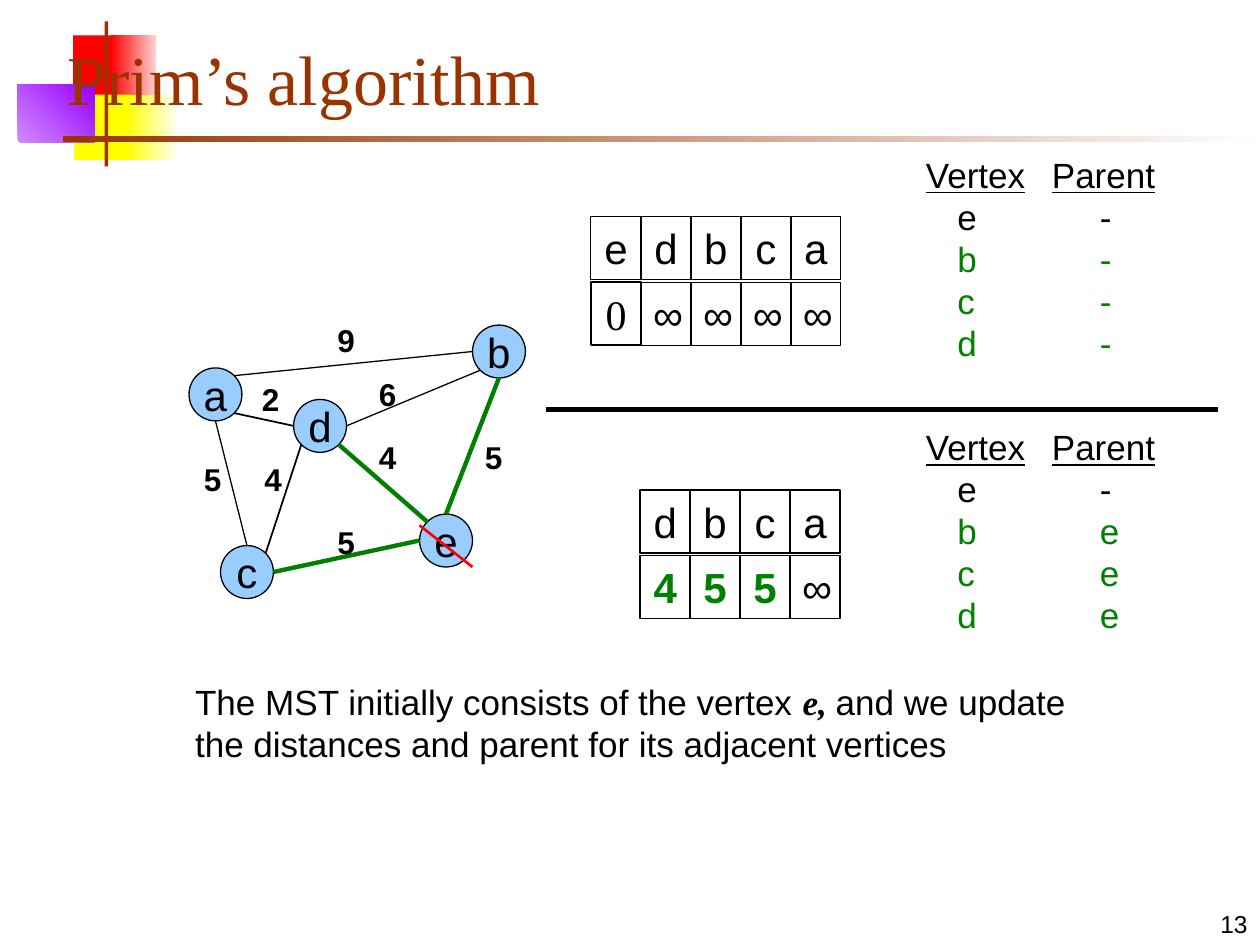
import math
from lxml import etree
from pptx import Presentation
from pptx import util as u
from pptx.dml.color import RGBColor
from pptx.enum import shapes, text
from pptx.oxml.ns import qn

C = {"black": "000000", "green": "008000", "red": "FF0000", "pink": "FFD1D1",
     "yellow": "FFFF00", "cream": "FFFFF0", "violet": "9900FF", "lilac": "D18BFF",
     "brown": "993300", "white": "FFFFFF", "node": "99CCFF"}
SANS, SERIF = "Arial", "Times New Roman"
RECT, OVAL = shapes.MSO_SHAPE.RECTANGLE, shapes.MSO_SHAPE.OVAL
LEFT, CENTER, RIGHT = text.PP_ALIGN.LEFT, text.PP_ALIGN.CENTER, text.PP_ALIGN.RIGHT
TOP, MIDDLE, BOTTOM = text.MSO_ANCHOR.TOP, text.MSO_ANCHOR.MIDDLE, text.MSO_ANCHOR.BOTTOM

DECOR = [
    ((0.58, 0.28, 0.35, 0.52), ["red"], 0),
    ((0.88, 0.28, 0.36, 0.52), ["red", "pink"], 0),
    ((0.59, 0.75, 0.46, 0.52), ["yellow"], 0),
    ((1, 0.75, 0.4, 0.52), ["yellow", "cream"], 0),
    ((0.14, 0.67, 0.61, 0.46), ["lilac", "violet"], 45),
    ((0.83, 0.17, 0.03, 1.15), ["brown"], 0),
    ((0.5, 1.08, 9.5, 0.05), ["brown", "white"], 0),
]
NODE = 0.42
NODES = {"a": (1.5, 2.92), "c": (1.75, 4.33), "e": (3.33, 4.08),
         "d": (2.33, 3.17), "b": (3.75, 2.58)}
COMPASS = {"E": 0, "SE": 45, "S": 90, "SW": 135, "W": 180, "NW": 225, "N": 270, "NE": 315}
EDGES = [
    ("a", "NE", "b", "W", "black", 0.75, "9", (2.58, 2.5)),
    ("d", "E", "b", "SW", "black", 0.75, "6", (2.91, 2.93)),
    ("a", "S", "c", "N", "black", 0.75, "5", (1.52, 3.6)),
    ("a", "SE", "d", "W", "black", 1, "2", (1.98, 2.97)),
    ("c", "NE", "d", "SW", "black", 1, "4", (2, 3.6)),
    ("d", "SE", "e", "NW", "green", 2.5, "4", (2.91, 3.43)),
    ("b", "S", "e", "N", "green", 2.5, "5", (3.75, 3.43)),
    ("e", "W", "c", "E", "green", 2.5, "5", (2.58, 4.1)),
]
QUEUES = [(4.69, 1.72, ["edbca", "0∞∞∞∞"]), (5.08, 3.89, ["dbca", "455∞"])]
CELL_STYLE = {"0": {"font": SERIF},
              "4": {"color": "green", "bold": True},
              "5": {"color": "green", "bold": True}}
CELL_LINE = {"e": 0.5, "0": 1}
CELL_W, CELL_H, COL_STEP, ROW_STEP = 0.4, 0.5, 0.396, 0.52
PARENTS = [(1.17, "----"), (3.33, "-eee")]
TABS = [0.25, 1, 1.38]

prs = Presentation()
prs.slide_width, prs.slide_height = u.Inches(10), u.Inches(7.5)
s = prs.slides.add_slide(prs.slide_layouts[6])


def rgb(name):
    return RGBColor.from_string(C[name])


def run(value, size, font=SANS, color="black", bold=False, italic=False, underline=False):
    return value, size, font, color, bold, italic, underline


def write(sp, paragraphs, align=LEFT, anchor=TOP, wrap=True, tabs=()):
    tf = sp.text_frame
    tf.word_wrap, tf.vertical_anchor = wrap, anchor
    for i, runs in enumerate(paragraphs):
        p = tf.add_paragraph() if i else tf.paragraphs[0]
        p.alignment = align
        if tabs:
            stops = etree.SubElement(p._p.get_or_add_pPr(), qn("a:tabLst"))
            for pos in tabs:
                etree.SubElement(stops, qn("a:tab"), pos=str(u.Inches(pos)), algn="l")
        for value, size, font, color, bold, italic, underline in runs:
            r = p.add_run()
            r.text = value
            f = r.font
            f.size, f.name, f.color.rgb = u.Pt(size), font, rgb(color)
            f.bold, f.italic, f.underline = bold, italic, underline


def textbox(box, paragraphs, **options):
    write(s.shapes.add_textbox(*map(u.Inches, box)), paragraphs, **options)


def shape(kind, box, fills=(), angle=0, line=None, parent=s):
    sp = parent.shapes.add_shape(kind, *map(u.Inches, box))
    sp.shadow.inherit = False
    if len(fills) == 2:
        sp.fill.gradient()
        sp.fill.gradient_angle = angle
        for stop, name, pos in zip(sp.fill.gradient_stops, fills, (0, 1)):
            stop.color.rgb, stop.position = rgb(name), pos
    elif fills:
        sp.fill.solid()
        sp.fill.fore_color.rgb = rgb(fills[0])
    else:
        sp.fill.background()
    if line:
        sp.line.color.rgb, sp.line.width = rgb("black"), u.Pt(line)
    else:
        sp.line.fill.background()
    return sp


def connect(start, end, color, width):
    cn = s.shapes.add_connector(shapes.MSO_CONNECTOR.STRAIGHT, *map(u.Inches, (*start, *end)))
    cn.line.color.rgb, cn.line.width = rgb(color), u.Pt(width)
    etree.SubElement(cn._element.spPr, qn("a:effectLst"))


def site(node, direction):
    x, y = NODES[node]
    angle, radius = math.radians(COMPASS[direction]), NODE / 2
    return x + radius * (1 + math.cos(angle)), y + radius * (1 + math.sin(angle))


for box, fills, angle in DECOR:
    shape(RECT, box, fills, angle)
textbox((7.92, 7, 2.08, 0.5), [[run("13", 14)]], align=RIGHT, anchor=BOTTOM)
textbox((0.44, 0.25, 9.56, 0.75), [[run("Prim’s algorithm", 40, SERIF, "brown")]], anchor=BOTTOM)

for name, (x, y) in NODES.items():
    sp = shape(OVAL, (x, y, NODE, NODE), ["node"], line=0.75)
    write(sp, [[run(name, 24)]], align=CENTER, anchor=MIDDLE, wrap=False)
for a, a_side, b, b_side, color, width, weight, label in EDGES:
    connect(site(a, a_side), site(b, b_side), color, width)
    textbox((*label, 0.34, 0.4), [[run(weight, 18, bold=True)]], wrap=False)
x, y = NODES["e"]
connect((x, y + 0.09), (x + NODE, y + NODE), "red", 1.5)

for left, top, rows in QUEUES:
    group = s.shapes.add_group_shape()
    for i, row in enumerate(rows):
        for j, value in enumerate(row):
            box = (left + j * COL_STEP, top + i * ROW_STEP, CELL_W, CELL_H)
            sp = shape(RECT, box, line=CELL_LINE.get(value, 0.75), parent=group)
            write(sp, [[run(value, 24, **CELL_STYLE.get(value, {}))]], align=CENTER)

for top, parents in PARENTS:
    lines = [[run("Vertex\tParent", 20, underline=True)]]
    for vertex, parent in zip("ebcd", parents):
        color = "black" if vertex == "e" else "green"
        lines.append([run(f"\t{vertex}\t\t{parent}", 20, color=color)])
    textbox((7.25, top, 2.02, 1.77), lines, wrap=False, tabs=TABS)
connect((4.33, 3.25), (9.67, 3.25), "black", 3)

textbox((1.45, 5.35, 7.11, 0.77), [
    [run("The MST initially consists of the vertex ", 20),
     run("e, ", 20, SERIF, bold=True, italic=True),
     run("and we update", 20)],
    [run("the distances and parent for its adjacent vertices", 20)],
], wrap=False)

prs.save("out.pptx")
